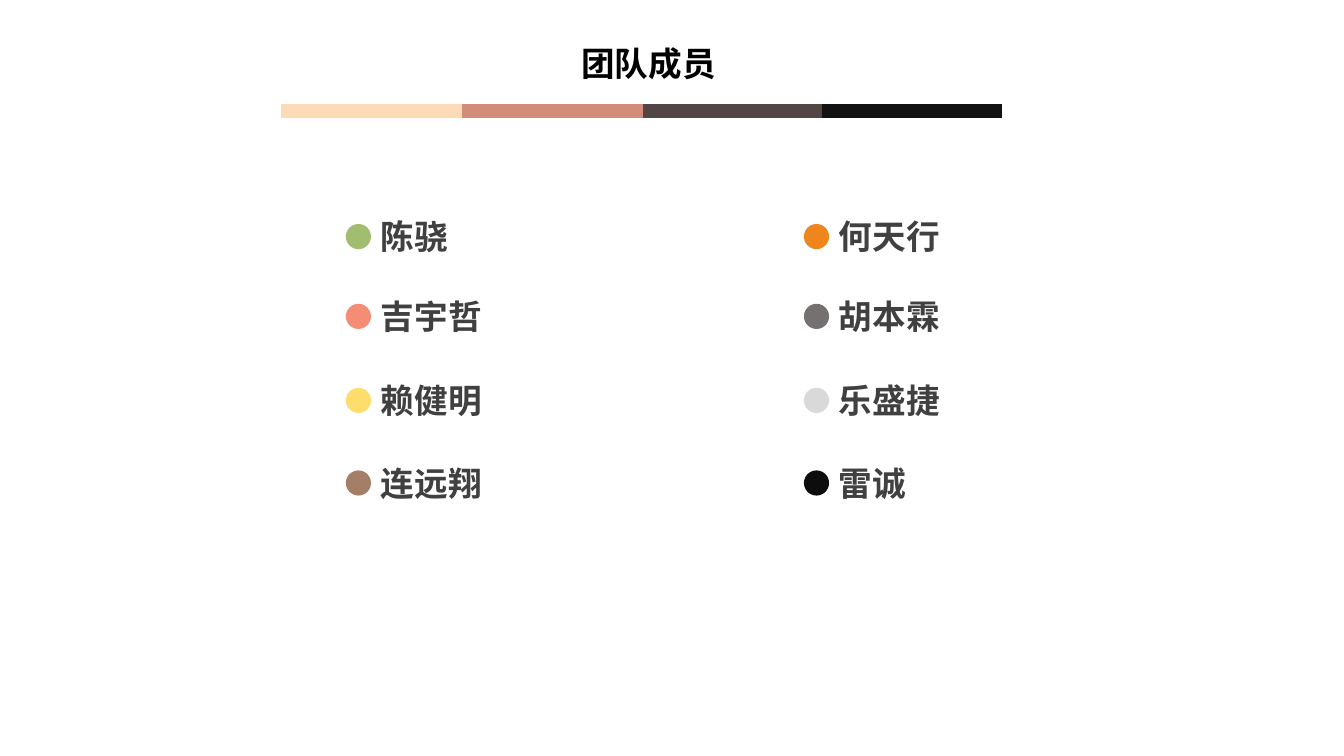
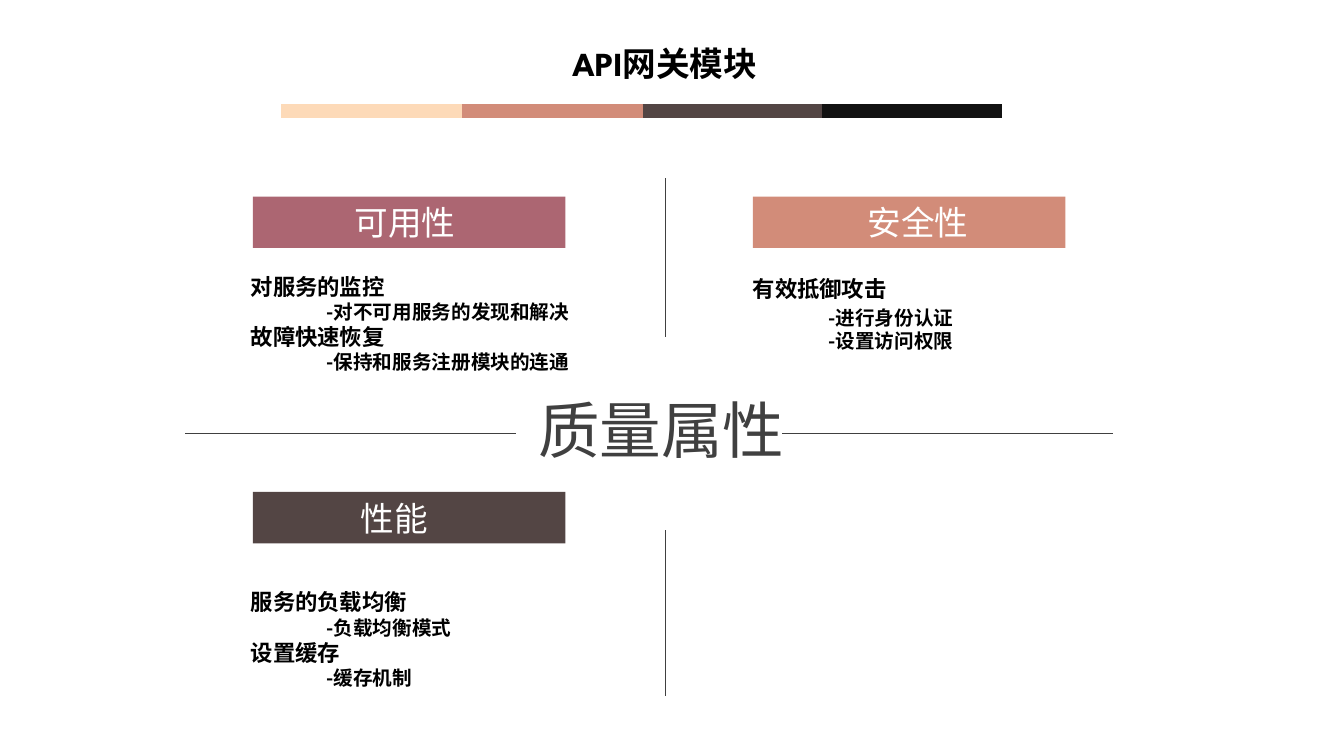
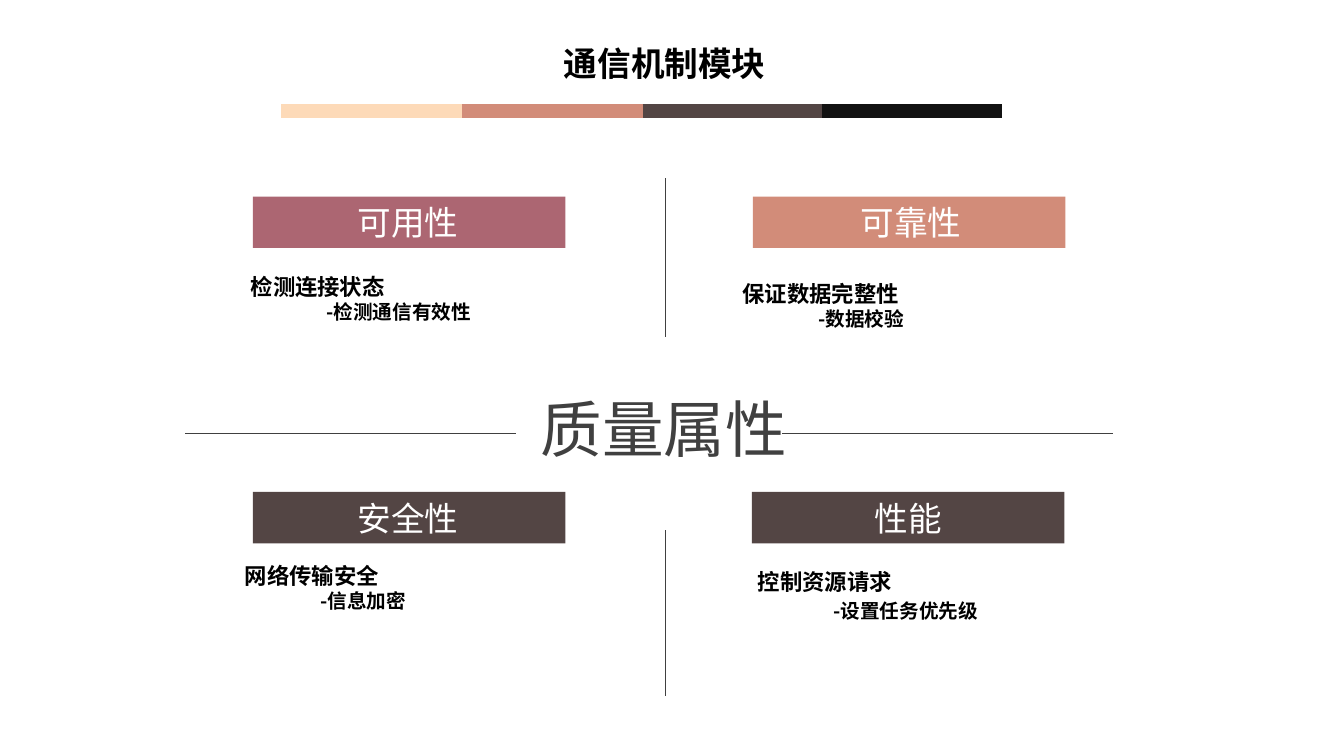
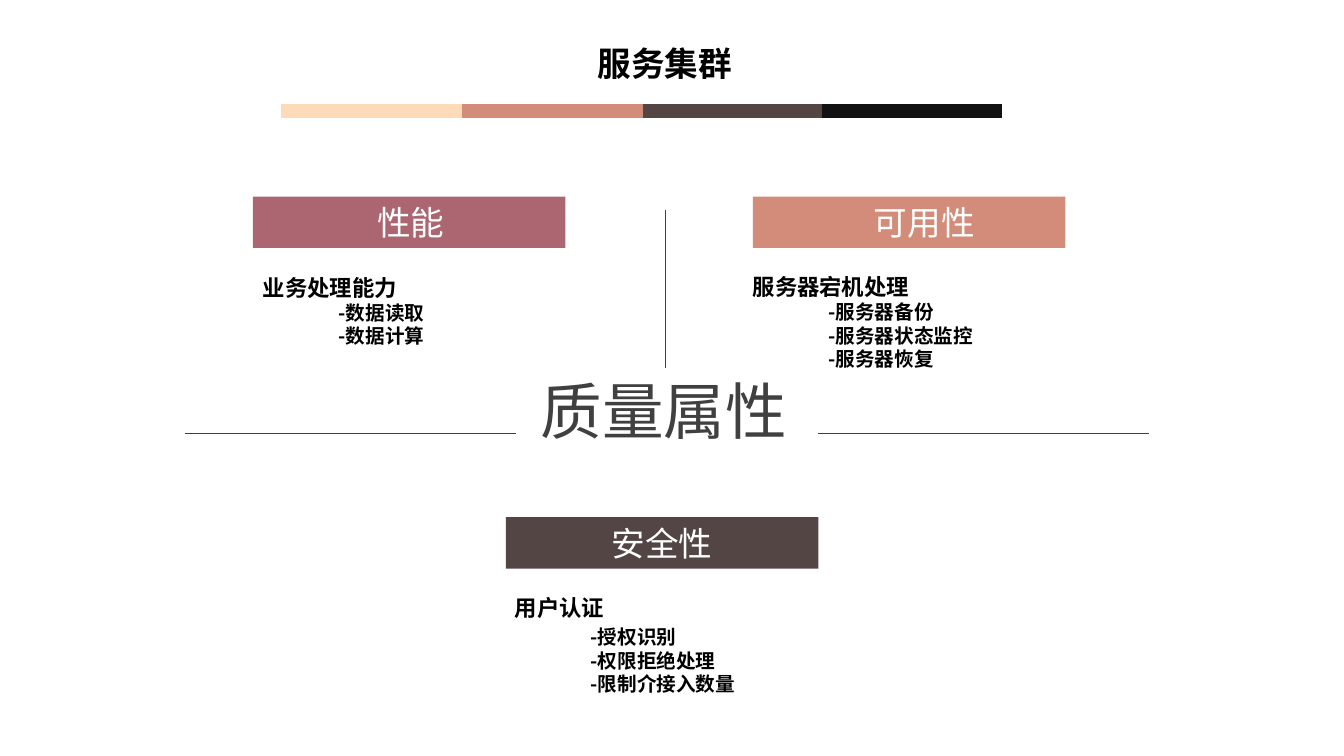
from itertools import pairwise

from lxml.etree import SubElement
from pptx import Presentation
from pptx.dml.color import RGBColor
from pptx.enum.shapes import MSO_CONNECTOR, MSO_SHAPE
from pptx.enum.text import MSO_ANCHOR, PP_ALIGN
from pptx.oxml.ns import qn
from pptx.util import Pt

SANS, TITLE_FONT, LABEL_FONT = "Noto Sans CJK SC", "League Spartan", "Calibri"
BLACK, WHITE, GRAY = "000000", "FFFFFF", "404040"
SAND, CORAL, BROWN, INK, ROSE = "FDDAB8", "D28C79", "534544", "121212", "AC6672"
BAND_EDGES = (201, 330, 459, 587, 716)
BAND_COLORS = (SAND, CORAL, BROWN, INK)
LEFT, RIGHT = 180.7, 537.8
UPPER, LOWER = 140.4, 351.4
AXIS_X, AXIS_Y = 475.2, 309.6
HEADING_WIDTH = 192.4


def color(value):
    """Turn a hex string into a colour."""
    return RGBColor.from_string(value)


def add_para(frame, text, size=16, font=SANS, ink=BLACK, bold=False,
             align=PP_ALIGN.LEFT, indent=0, before=0, spacing=None):
    """Write one formatted paragraph into a text frame."""
    first = frame.paragraphs[0]
    para = frame.add_paragraph() if first.runs else first
    para.alignment = align
    if indent:
        para._p.get_or_add_pPr().set("marL", str(Pt(indent)))
    if before:
        para.space_before = Pt(before)
    if spacing:
        para.line_spacing = spacing
    span = para.add_run()
    span.text = text
    span.font.size, span.font.bold, span.font.name = Pt(size), bold, font
    span.font.color.rgb = color(ink)
    SubElement(span.font._element, qn("a:ea")).set("typeface", SANS)


def add_box(page, left, top, width, height):
    """Add an empty wrapping text box."""
    box = page.shapes.add_textbox(Pt(left), Pt(top), Pt(width), Pt(height))
    box.text_frame.word_wrap = True
    return box


def add_filled(page, kind, left, top, width, height, fill):
    """Add a borderless filled shape."""
    shape = page.shapes.add_shape(kind, Pt(left), Pt(top), Pt(width), Pt(height))
    shape.shadow.inherit = False
    shape.fill.solid()
    shape.fill.fore_color.rgb = color(fill)
    shape.line.fill.background()
    return shape


def add_rule(page, start, end, ink=GRAY, weight=0.5):
    """Draw a straight line between two points."""
    rule = page.shapes.add_connector(MSO_CONNECTOR.STRAIGHT, *map(Pt, start + end))
    rule.line.color.rgb = color(ink)
    rule.line.width = Pt(weight)
    SubElement(rule._element.spPr, qn("a:effectLst"))
    return rule


def add_page(deck, title, title_width=350.6):
    """Start a slide with the shared title and colour band."""
    page = deck.slides.add_slide(deck.slide_layouts[6])
    for (start, end), ink in zip(pairwise(BAND_EDGES), BAND_COLORS):
        add_rule(page, (start, 79.2), (end, 79.2), ink, 10)
    box = add_box(page, 299.5, 30.2, title_width, 36)
    add_para(box.text_frame, title, size=24, font=TITLE_FONT, bold=True,
             align=PP_ALIGN.CENTER, spacing=0.9)
    return page


def add_member(page, left, top, name, fill):
    """Place a coloured dot and a name beside it."""
    add_filled(page, MSO_SHAPE.OVAL, left, top + 9, 18, 18, fill)
    box = add_box(page, left + 18, top, 100, 36)
    add_para(box.text_frame, name, size=24, ink=GRAY, bold=True)


def team_slide(deck):
    """Build the two-column list of team members."""
    page = add_page(deck, "团队成员", title_width=327.6)
    columns = {
        247: (("陈骁", "A1BD70"), ("吉宇哲", "F58D76"),
              ("赖健明", "FFDD6C"), ("连远翔", "A37F67")),
        574.2: (("何天行", "EF861D"), ("胡本霖", "767171"),
                ("乐盛捷", "D9D9D9"), ("雷诚", "0D0D0D")),
    }
    for left, members in columns.items():
        for top, (name, fill) in zip((151, 208, 268, 327), members):
            add_member(page, left, top, name, fill)


def add_quality(page, left, top, label, fill, inset, offset, lines, gap=0):
    """Place a labelled bar with its points and indented measures below."""
    bar = add_filled(page, MSO_SHAPE.RECTANGLE, left, top, 223.2, 36.7, fill)
    frame = bar.text_frame
    frame.margin_left, frame.margin_right = Pt(inset), 0
    frame.margin_top = frame.margin_bottom = 0
    frame.vertical_anchor = MSO_ANCHOR.MIDDLE
    add_para(frame, label, size=24, font=LABEL_FONT, ink=WHITE)
    body = add_box(page, left + offset[0], top + offset[1], 264, 80)
    for index, line in enumerate(lines):
        if line.startswith("-"):
            add_para(body.text_frame, line, size=14, bold=True, indent=54,
                     before=gap if index == 1 else 0)
        else:
            add_para(body.text_frame, line, bold=True)


def quality_slide(deck, title, heading_at, right_start, uprights, qualities):
    """Build a slide of quality attributes around a central heading."""
    page = add_page(deck, title)
    heading = add_box(page, *heading_at, HEADING_WIDTH, 60.5)
    add_para(heading.text_frame, "质量属性", size=44, ink=GRAY)
    for start in (132.5, right_start):
        add_rule(page, (start, AXIS_Y), (start + 236.2, AXIS_Y))
    for top, bottom in uprights:
        rule = add_rule(page, (AXIS_X, top), (AXIS_X, bottom))
        if bottom == heading_at[1]:
            rule.end_connect(heading, 0)
    for quality in qualities:
        add_quality(page, *quality)


def main():
    """Build and save the deck."""
    deck = Presentation()
    deck.slide_width, deck.slide_height = Pt(960), Pt(540)
    uprights = ((127.4, 240.5), (378.7, 496.8))
    team_slide(deck)
    quality_slide(deck, "API网关模块", (377.3, 276.5), 558.7, uprights, (
        (LEFT, UPPER, "可用性", ROSE, 72.7, (-8.7, 51.1),
         ("对服务的监控", "-对不可用服务的发现和解决",
          "故障快速恢复", "-保持和服务注册模块的连通")),
        (RIGHT, UPPER, "安全性", CORAL, 82.1, (-7.2, 52.6),
         ("有效抵御攻击", "-进行身份认证", "-设置访问权限"), 2.5),
        (LEFT, LOWER, "性能", BROWN, 77, (-8.7, 65.5),
         ("服务的负载均衡", "-负载均衡模式", "设置缓存", "-缓存机制")),
    ))
    quality_slide(deck, "通信机制模块", (379, 275.8), 558.7, uprights, (
        (LEFT, UPPER, "可用性", ROSE, 74.9, (-8.7, 51.1),
         ("检测连接状态", "-检测通信有效性")),
        (RIGHT, UPPER, "可靠性", CORAL, 77, (-14.4, 56.2),
         ("保证数据完整性", "-数据校验")),
        (LEFT, LOWER, "安全性", BROWN, 74.9, (-12.9, 46.8),
         ("网络传输安全", "-信息加密")),
        (RIGHT - 0.7, LOWER, "性能", BROWN, 87.6, (-2.9, 51.1),
         ("控制资源请求", "-设置任务优先级"), 2.5),
    ))
    quality_slide(deck, "服务集群", (379, 262.8), 584.6, ((149.8, 262.8),), (
        (LEFT, UPPER, "性能", ROSE, 88.6, (0, 51.8),
         ("业务处理能力", "-数据读取", "-数据计算")),
        (RIGHT, UPPER, "可用性", CORAL, 86.4, (-7.2, 51.1),
         ("服务器宕机处理", "-服务器备份", "-服务器状态监控", "-服务器恢复")),
        (361.4, 369.4, "安全性", BROWN, 75.6, (-0.7, 51.8),
         ("用户认证", "-授权识别", "-权限拒绝处理", "-限制介接入数量"), 2.5),
    ))
    deck.save("out.pptx")


if __name__ == "__main__":
    main()
